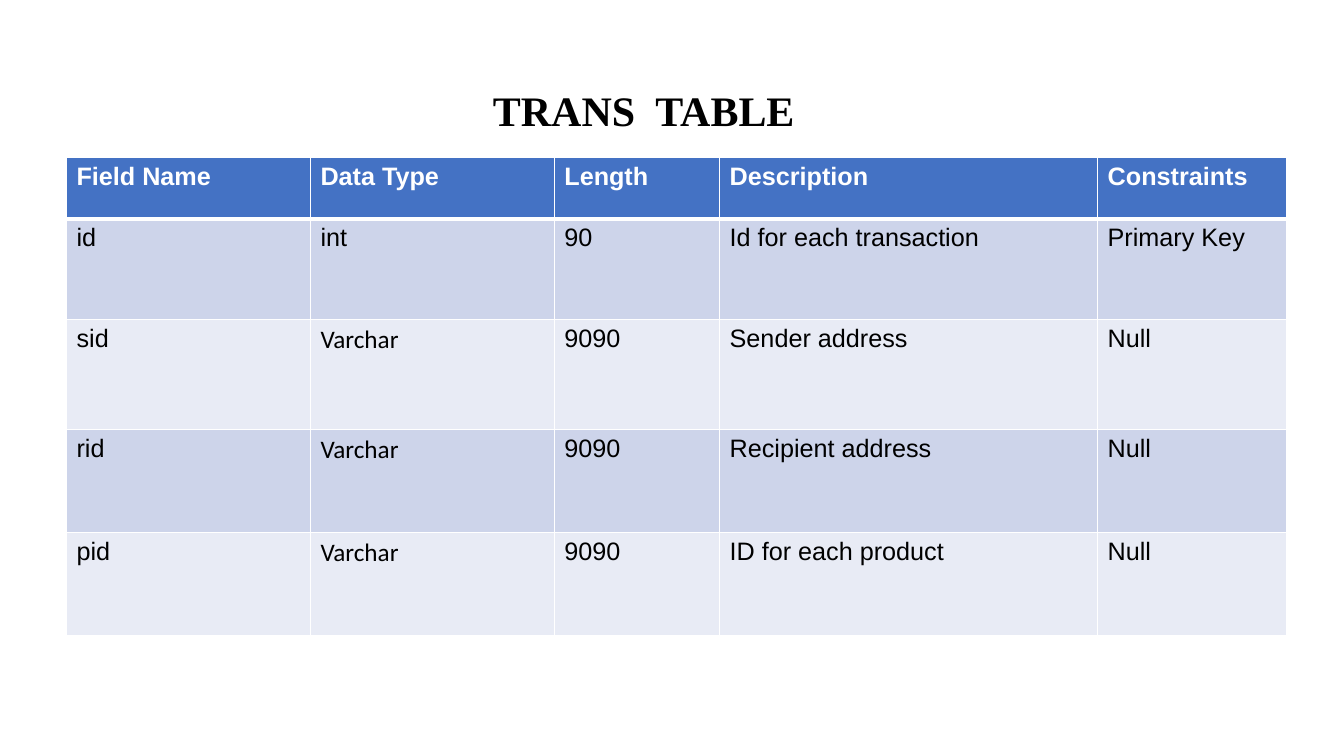
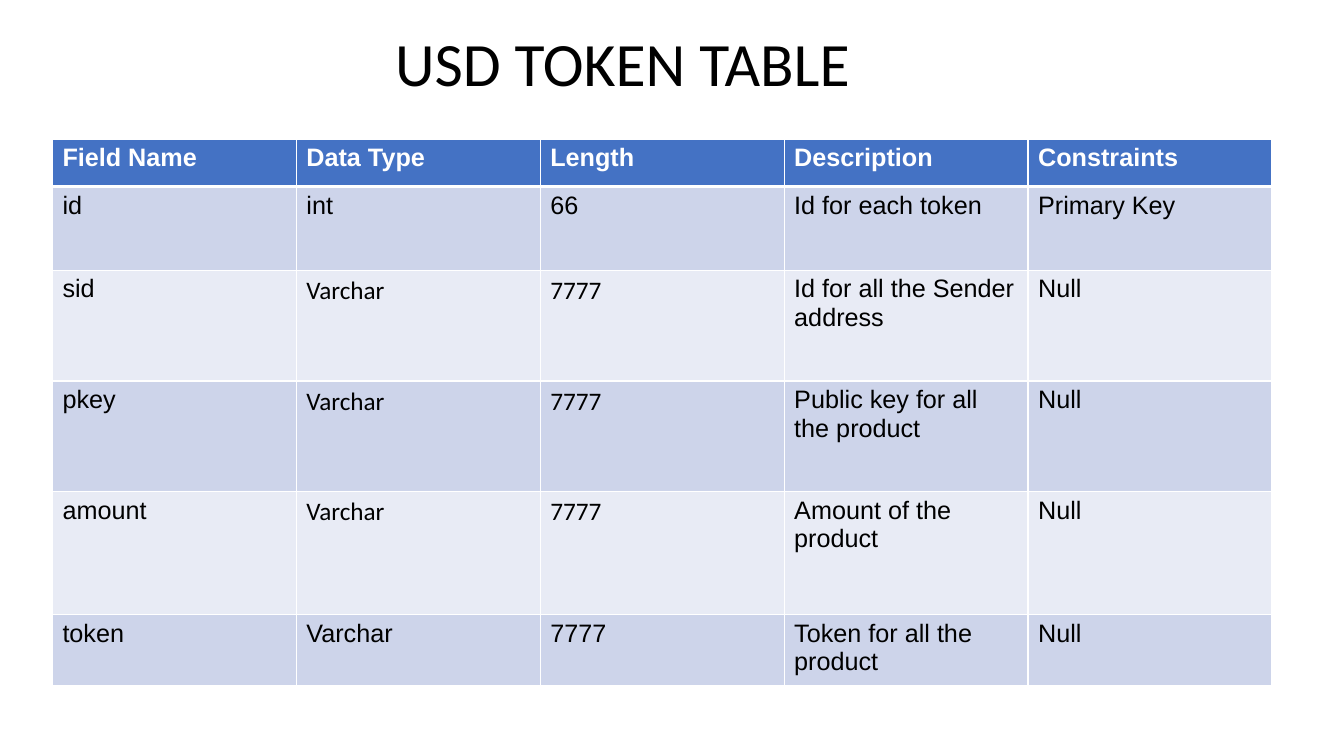
"""Build two slides that describe the fields of database tables."""
from lxml import etree
from pptx import Presentation
from pptx.dml.color import RGBColor
from pptx.enum.text import MSO_ANCHOR
from pptx.oxml.ns import qn
from pptx.util import Inches, Pt

MIDDLE = MSO_ANCHOR.MIDDLE
BLACK = RGBColor(0x00, 0x00, 0x00)
WHITE = RGBColor(0xFF, 0xFF, 0xFF)
HEADER_BLUE = RGBColor(0x44, 0x72, 0xC4)
BANDS = (RGBColor(0xCD, 0xD4, 0xEA), RGBColor(0xE8, 0xEB, 0xF5))
BODY_FONT, ALTERNATE_FONT, SERIF_FONT = "Arial", "Calibri", "Times New Roman"
GRID = Inches(0.1)
GRID_COLUMNS, GRID_ROWS = 133.33, 75
BLANK_LAYOUT = 6
HEADINGS = ("Field Name", "Data Type", "Length", "Description", "Constraints")
ALTERNATE_ROWS = range(2, 5)


def grid(count):
    return round(count * GRID)


class FieldDeck:
    def __init__(self):
        self.deck = Presentation()
        self.deck.slide_width = grid(GRID_COLUMNS)
        self.deck.slide_height = grid(GRID_ROWS)
        self.page = None

    def add_page(self):
        layout = self.deck.slide_layouts[BLANK_LAYOUT]
        self.page = self.deck.slides.add_slide(layout)

    def style(self, para, font, size, color, bold=False):
        para.font.name = font
        para.font.size = Pt(size)
        para.font.color.rgb = color
        para.font.bold = bold

    def title(self, text, place, indent, font, size, spacing, bold=False, drop=0.5):
        box = self.page.shapes.add_textbox(*map(grid, place))
        frame = box.text_frame
        frame.word_wrap = True
        frame.vertical_anchor = MIDDLE
        frame.margin_left = grid(indent)
        frame.margin_top = grid(drop)
        para = frame.paragraphs[0]
        para.text = text
        para.line_spacing = spacing
        self.style(para, font, size, BLACK, bold)

    def borders(self, cell, widths):
        properties = cell._tc.get_or_add_tcPr()
        for side, width in widths.items():
            line = etree.SubElement(properties, qn(f"a:ln{side}"), w=str(Pt(width)))
            fill = etree.SubElement(line, qn("a:solidFill"))
            etree.SubElement(fill, qn("a:srgbClr"), val=str(WHITE))

    def table(self, left, top, widths, heights, records, alternate_columns):
        rows = [HEADINGS, *records]
        frame = self.page.shapes.add_table(
            len(rows), len(HEADINGS), grid(left), grid(top),
            grid(sum(widths)), grid(sum(heights)))
        table = frame.table
        for column, width in zip(table.columns, widths):
            column.width = grid(width)
        for number, (row, height) in enumerate(zip(table.rows, heights)):
            row.height = grid(height)
            for column, (cell, text) in enumerate(zip(row.cells, rows[number])):
                alternate = number in ALTERNATE_ROWS and column in alternate_columns
                self.cell(cell, text, number, ALTERNATE_FONT if alternate else BODY_FONT)

    def cell(self, cell, text, number, font):
        header = number == 0
        self.borders(cell, {"L": 1, "R": 1, "T": 3 if number == 1 else 1,
                            "B": 3 if header else 1})
        cell.fill.solid()
        cell.fill.fore_color.rgb = HEADER_BLUE if header else BANDS[(number - 1) % 2]
        para = cell.text_frame.paragraphs[0]
        para.text = text
        self.style(para, font, 18, WHITE if header else BLACK, header)


fields = FieldDeck()

fields.add_page()
fields.title("TRANS  TABLE", (3.5, 1.8, 127.2, 12.3), 45.4, SERIF_FONT, 30, 1.5,
             bold=True, drop=3.9)
fields.table(6.6, 15.6, (24.2, 24.2, 16.4, 37.5, 18.7), (6.1, 10, 10.9, 10.2, 10.3), [
    ("id", "int", "90", "Id for each transaction", "Primary Key"),
    ("sid", "Varchar", "9090", "Sender address", "Null"),
    ("rid", "Varchar", "9090", "Recipient address", "Null"),
    ("pid", "Varchar", "9090", "ID for each product", "Null"),
], alternate_columns=(1,))

fields.add_page()
fields.title("USD TOKEN TABLE", (8.1, 1.4, 115, 10.4), 31.1, ALTERNATE_FONT, 44, 0.9)
fields.table(5.2, 13.8, [24.2] * len(HEADINGS), (4.7, 8.3, 11, 11, 12.2, 6.6), [
    ("id", "int", "66", "Id for each token", "Primary Key"),
    ("sid", "Varchar", "7777", "Id for all the Sender address", "Null"),
    ("pkey", "Varchar", "7777", "Public key for all the product", "Null"),
    ("amount", "Varchar", "7777", "Amount of the product", "Null"),
    ("token", "Varchar", "7777", "Token for all the product", "Null"),
], alternate_columns=(1, 2))

fields.deck.save("out.pptx")
